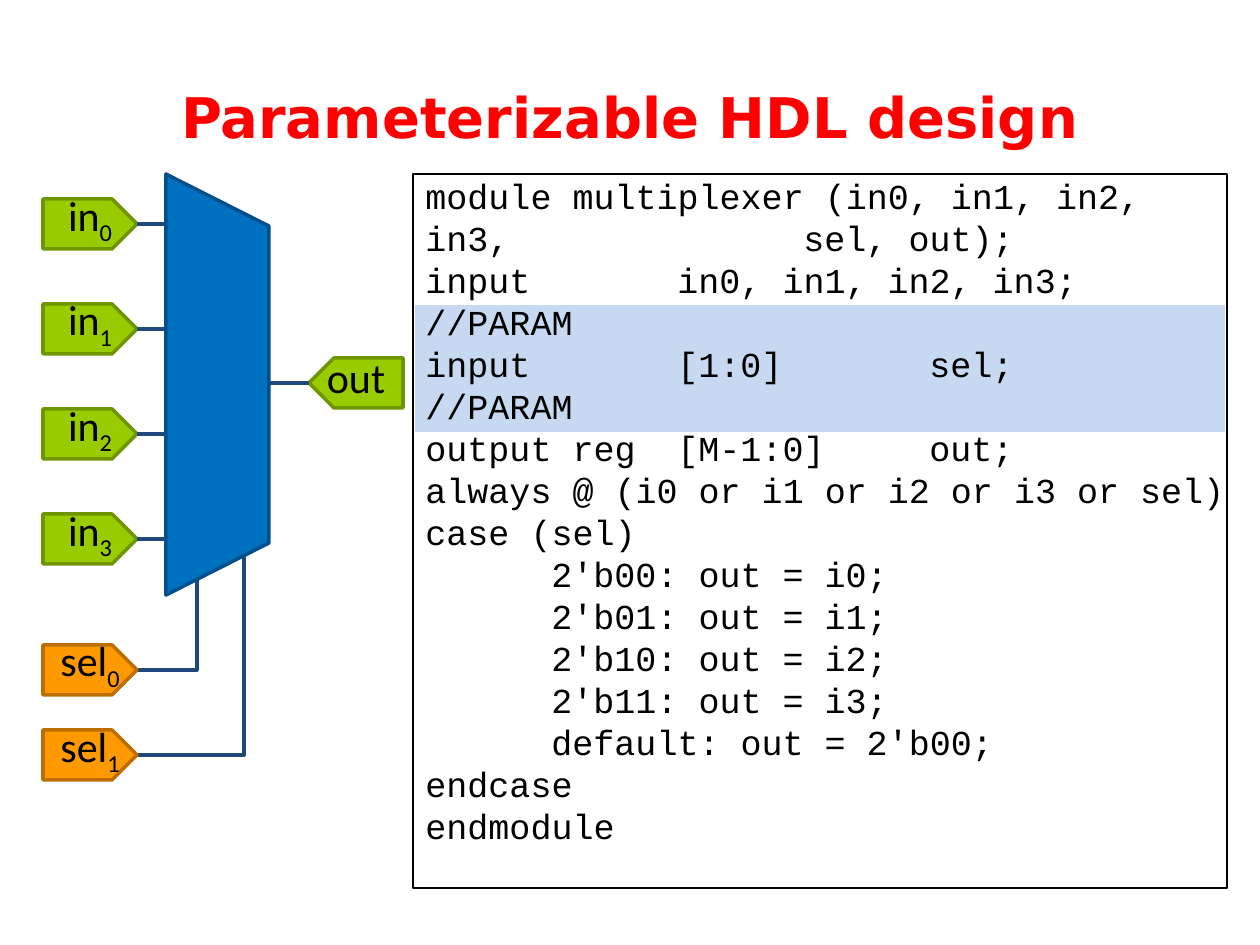
from pptx import Presentation
from pptx.dml.color import RGBColor
from pptx.enum.shapes import MSO_CONNECTOR, MSO_SHAPE
from pptx.enum.text import MSO_ANCHOR, PP_ALIGN
from pptx.oxml.ns import qn
from pptx.util import Inches, Pt
from lxml.etree import SubElement

COLORS = {
    "title": "FF0000", "text": "000000", "wire": "1F497D",
    "data": "99CC00", "data_edge": "6F9500",
    "select": "FF9900", "select_edge": "BC6F00",
    "mux": "0070C0", "mux_edge": "00508C",
    "band": "C6D9F1", "band_edge": "FFFFFF",
}
TITLE = "Parameterizable HDL design"
CODE = [
    "module multiplexer (in0, in1, in2, in3, \t\t\tsel, out);",
    "input\t\tin0, in1, in2, in3;",
    "//PARAM",
    "input\t\t[1:0]\t\tsel;",
    "//PARAM",
    "output reg\t[M-1:0]\tout;",
    "always @ (i0 or i1 or i2 or i3 or sel)",
    "case (sel)",
    "\t2'b00: out = i0;",
    "\t2'b01: out = i1;",
    "\t2'b10: out = i2;",
    "\t2'b11: out = i3;",
    "\tdefault: out = 2'b00;",
    "endcase",
    "endmodule",
]
SELECTS = [(645, 197, 393), (730, 244, 352)]
INPUT_COUNT, INPUT_TOP, INPUT_STEP = 4, 199, 105
MUX = [(166, 174), (269, 226), (269, 543), (166, 595)]
FLAG_LEFT, FLAG_WIDTH, FLAG_HEIGHT, FLAG_POINT = 43, 94, 50, 25
OUT_LEFT, OUT_TOP = 309, 358
FLAG_TIP = FLAG_LEFT + FLAG_WIDTH
HALF = FLAG_HEIGHT // 2
SCALE = 914400 / 126


def px(value):
    return round(value * SCALE)


def color(name):
    return RGBColor.from_string(COLORS[name])


def paint(shape, fill, edge, width):
    shape.shadow.inherit = False
    if fill:
        shape.fill.solid()
        shape.fill.fore_color.rgb = color(fill)
    else:
        shape.fill.background()
    shape.line.color.rgb = color(edge)
    shape.line.width = Pt(width)


def set_font(font, name, size, tint="text"):
    font.name, font.size = name, Pt(size)
    font.color.rgb = color(tint)


def set_insets(frame, left=0, bottom=0):
    frame.margin_left, frame.margin_bottom = Inches(left), Inches(bottom)
    frame.margin_top = frame.margin_right = 0


def add_wire(page, start, end, bent=False):
    kind = MSO_CONNECTOR.ELBOW if bent else MSO_CONNECTOR.STRAIGHT
    wire = page.shapes.add_connector(kind, *map(px, start + end))
    wire.line.color.rgb = color("wire")
    wire.line.width = Pt(2)
    properties = wire._element.spPr
    if bent:
        properties.find(qn("a:prstGeom")).set("prst", "bentConnector2")
    SubElement(properties, qn("a:effectLst"))


def add_outline(page, points, kind):
    builder = page.shapes.build_freeform(*points[0], scale=SCALE)
    builder.add_line_segments(points[1:], close=True)
    shape = builder.convert_to_shape()
    paint(shape, kind, kind + "_edge", 2)
    return shape


def add_flag(page, left, top, kind, label, index="", mirrored=False):
    shoulder = FLAG_WIDTH - FLAG_POINT
    outline = [(0, 0), (shoulder, 0), (FLAG_WIDTH, HALF),
               (shoulder, FLAG_HEIGHT), (0, FLAG_HEIGHT)]
    points = [(left + (FLAG_WIDTH - x if mirrored else x), top + y)
              for x, y in outline]
    frame = add_outline(page, points, kind).text_frame
    frame.vertical_anchor = MSO_ANCHOR.MIDDLE
    set_insets(frame, bottom=0.1)
    para = frame.paragraphs[0]
    para.alignment = PP_ALIGN.CENTER
    set_font(para.font, "Calibri", 24)
    para.add_run().text = label
    if index:
        span = para.add_run()
        span.text = index
        span.font._element.set("baseline", "-25000")


def add_title(page):
    title = page.shapes.title
    title.left, title.top, title.width, title.height = map(px, (63, 38, 1134, 157))
    title.text_frame.text = TITLE
    title.text_frame.vertical_anchor = MSO_ANCHOR.MIDDLE
    para = title.text_frame.paragraphs[0]
    para.alignment = PP_ALIGN.CENTER
    set_font(para.font, "DejaVu Sans", 32, "title")
    para.font.bold = True


def add_diagram(page):
    for index, (top, x, end) in enumerate(SELECTS):
        add_wire(page, (FLAG_TIP, top + HALF), (x, end), bent=True)
        add_flag(page, FLAG_LEFT, top, "select", "sel", str(index))
    for index in range(INPUT_COUNT):
        top = INPUT_TOP + index * INPUT_STEP
        add_flag(page, FLAG_LEFT, top, "data", "in", str(index))
        add_wire(page, (FLAG_TIP, top + HALF), (200, top + HALF))
    add_flag(page, OUT_LEFT, OUT_TOP, "data", "out", mirrored=True)
    add_wire(page, (241, OUT_TOP + HALF), (OUT_LEFT, OUT_TOP + HALF))
    add_outline(page, MUX, "mux")


def add_code(page):
    band = page.shapes.add_shape(MSO_SHAPE.RECTANGLE, *map(px, (413, 303, 814, 131)))
    paint(band, "band", "band_edge", 2.25)
    box = page.shapes.add_shape(MSO_SHAPE.RECTANGLE, *map(px, (413, 174, 814, 714)))
    paint(box, None, "text", 0.75)
    frame = box.text_frame
    frame.word_wrap = True
    frame.vertical_anchor = MSO_ANCHOR.TOP
    set_insets(frame, left=0.1)
    for index, line in enumerate(CODE):
        para = frame.add_paragraph() if index else frame.paragraphs[0]
        para.text = line
        para.alignment = PP_ALIGN.LEFT
        tabs = SubElement(para._p.get_or_add_pPr(), qn("a:tabLst"))
        for inch in range(1, 8):
            SubElement(tabs, qn("a:tab"), pos=str(Inches(inch)), algn="l")
        set_font(para.font, "Courier New", 20)


def main():
    deck = Presentation()
    deck.slide_width, deck.slide_height = Inches(10), Inches(7.5)
    page = deck.slides.add_slide(deck.slide_layouts[5])
    add_title(page)
    add_diagram(page)
    add_code(page)
    deck.save("out.pptx")


if __name__ == "__main__":
    main()
